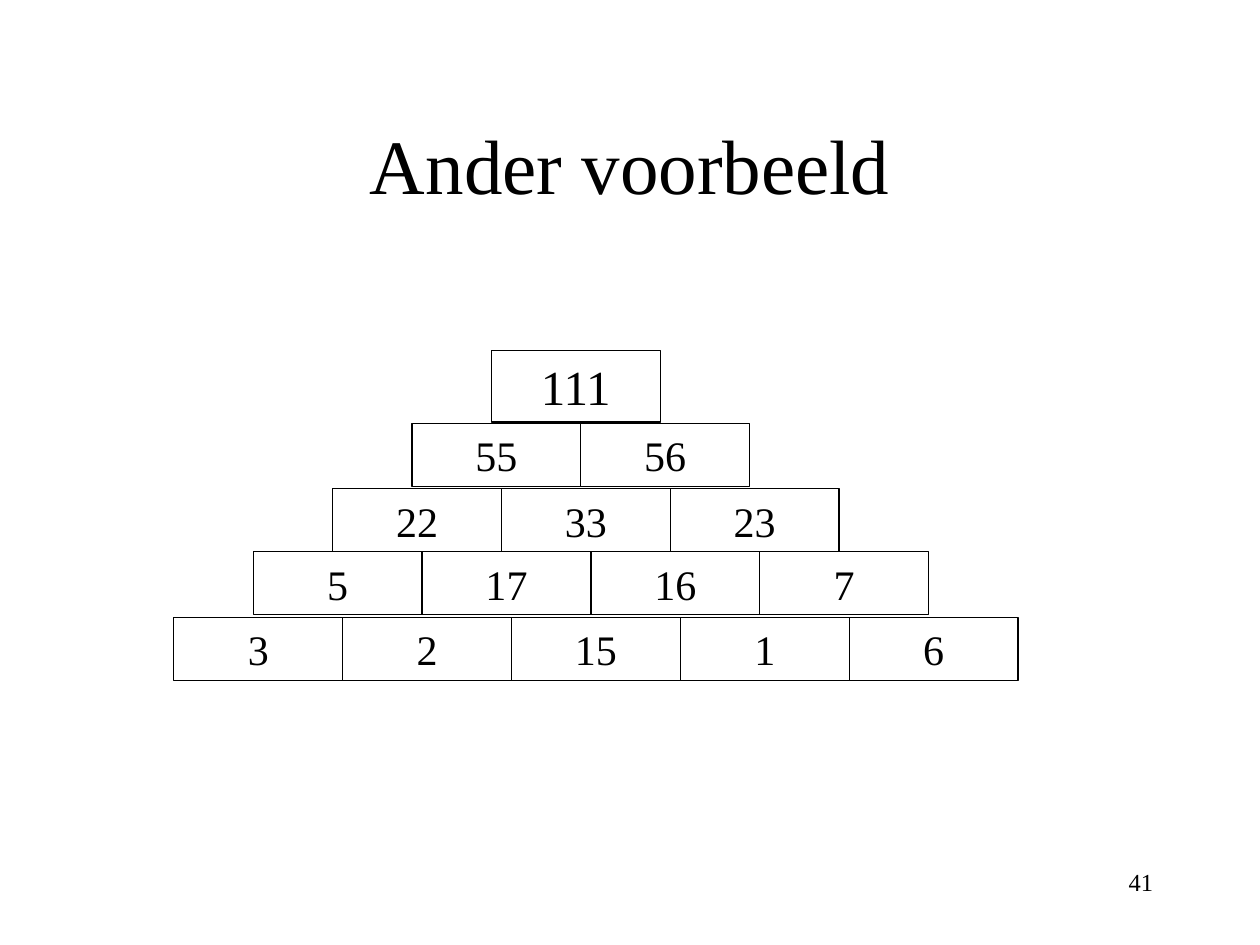
from dataclasses import dataclass

from pptx import Presentation
from pptx.dml.color import RGBColor
from pptx.enum.shapes import MSO_SHAPE as Shape
from pptx.enum.text import MSO_ANCHOR as Anchor, MSO_AUTO_SIZE as AutoSize, PP_ALIGN as Align
from pptx.util import Inches, Pt


@dataclass(frozen=True)
class Theme:
    font: str = "Times New Roman"
    ink: RGBColor = RGBColor(0, 0, 0)
    title: int = 44
    top_brick: int = 28
    brick: int = 24
    page_number: int = 14
    outline: float = 0.75


THEME = Theme()

# Number pyramid: top edge and values of each row, from the top down
PYRAMID = [
    (2.78, [111]),
    (3.36, [55, 56]),
    (3.88, [22, 33, 23]),
    (4.38, [5, 17, 16, 7]),
    (4.90, [3, 2, 15, 1, 6]),
]
TOP_LEFT = 3.9
ROW_SHIFT = 0.63
BRICK_WIDTH = 1.34


def write(shape, text, size, align, anchor=Anchor.TOP):
    frame = shape.text_frame
    frame.word_wrap = True
    frame.vertical_anchor = anchor
    paragraph = frame.paragraphs[0]
    paragraph.text = text
    paragraph.alignment = align
    paragraph.font.name = THEME.font
    paragraph.font.size = Pt(size)
    paragraph.font.color.rgb = THEME.ink


def add_label(slide, box, text, size, align, anchor=Anchor.TOP):
    label = slide.shapes.add_textbox(*map(Inches, box))
    write(label, text, size, align, anchor)


def add_brick(group, box, value, size):
    brick = group.shapes.add_shape(Shape.RECTANGLE, *map(Inches, box))
    brick.shadow.inherit = False
    brick.fill.background()
    brick.line.color.rgb = THEME.ink
    brick.line.width = Pt(THEME.outline)
    write(brick, str(value), size, Align.CENTER)
    brick.text_frame.auto_size = AutoSize.SHAPE_TO_FIT_TEXT


def add_pyramid(slide):
    group = slide.shapes.add_group_shape()
    for row, (top, values) in enumerate(PYRAMID):
        height, size = (0.5, THEME.brick) if row else (0.57, THEME.top_brick)
        row_left = TOP_LEFT - row * ROW_SHIFT
        for column, value in enumerate(values):
            left = row_left + column * BRICK_WIDTH
            add_brick(group, (left, top, BRICK_WIDTH, height), value, size)


def main():
    deck = Presentation()
    deck.slide_width, deck.slide_height = Inches(10), Inches(7.5)
    slide = deck.slides.add_slide(deck.slide_layouts[6])

    # Title and page number
    add_label(slide, (0.75, 0.67, 8.5, 1.25), "Ander voorbeeld",
              THEME.title, Align.CENTER, Anchor.MIDDLE)
    add_label(slide, (7.17, 6.83, 2.08, 0.5), "41", THEME.page_number, Align.RIGHT)

    # Pyramid of sums
    add_pyramid(slide)

    deck.save("out.pptx")


if __name__ == "__main__":
    main()
